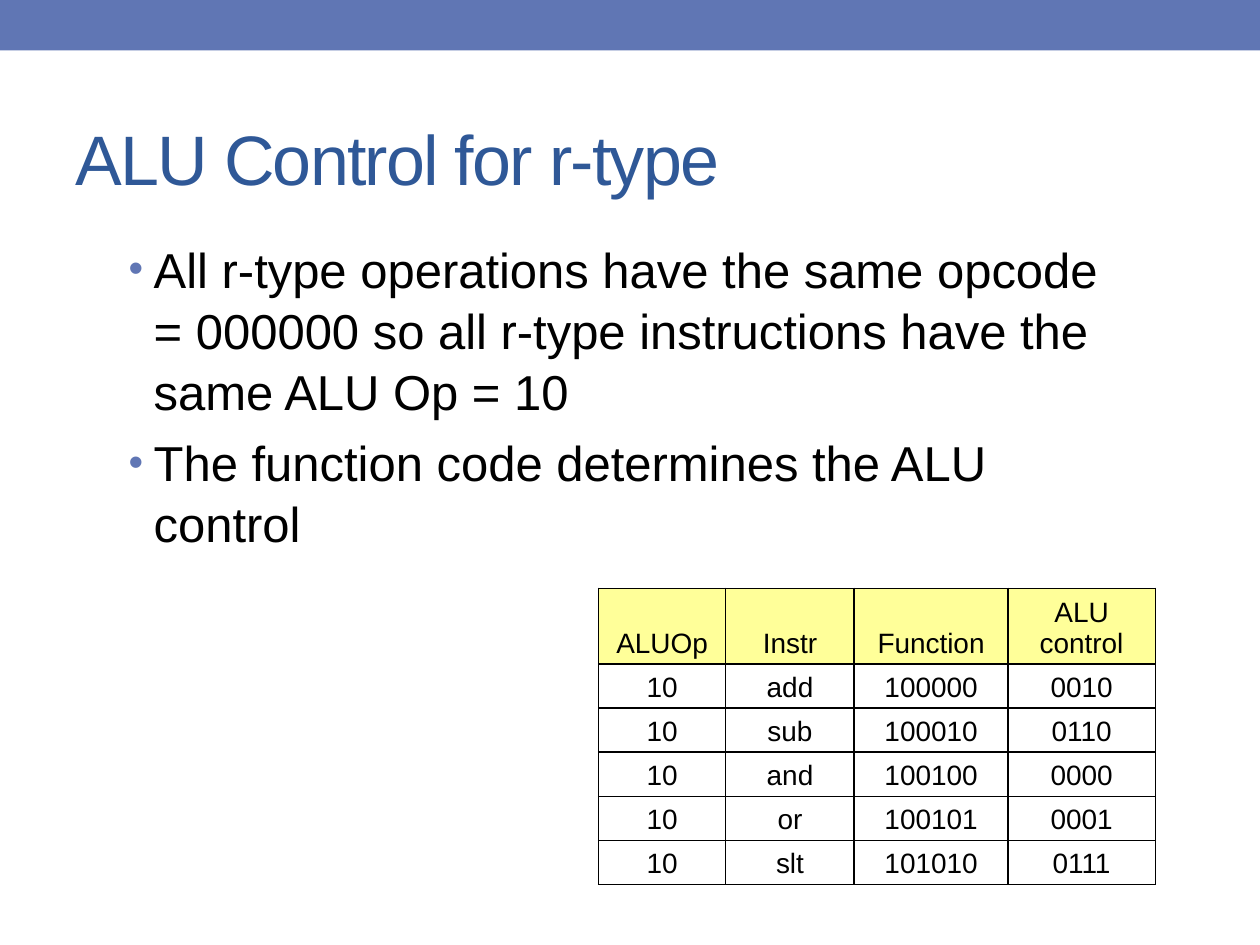
from lxml import etree
from pptx import Presentation
from pptx.dml.color import RGBColor
from pptx.enum.shapes import MSO_SHAPE
from pptx.enum.text import MSO_ANCHOR, MSO_AUTO_SIZE, PP_ALIGN
from pptx.oxml.ns import qn
from pptx.util import Inches, Pt

RECTANGLE = MSO_SHAPE.RECTANGLE
LEFT, CENTER = PP_ALIGN.LEFT, PP_ALIGN.CENTER
TOP, MIDDLE, BOTTOM = MSO_ANCHOR.TOP, MSO_ANCHOR.MIDDLE, MSO_ANCHOR.BOTTOM
NO_AUTOFIT = MSO_AUTO_SIZE.NONE

COLORS = {
    "accent": "6076B4",
    "title": "2F5897",
    "text": "000000",
    "header": "FFFF99",
    "border": "000000",
}
BULLETS = [
    "All r-type operations have the same opcode = 000000 so all r-type "
    "instructions have the same ALU Op = 10",
    "The function code determines the ALU control",
]
HEADINGS = ["ALUOp", "Instr", "Function", "ALU control"]
OPERATIONS = [
    ("add", "100000", "0010"),
    ("sub", "100010", "0110"),
    ("and", "100100", "0000"),
    ("or", "100101", "0001"),
    ("slt", "101010", "0111"),
]


def apply(target, values):
    for name, value in values.items():
        setattr(target, name, value)


def add_element(parent, tag, **attributes):
    return etree.SubElement(parent, qn(tag), attributes)


class SlideBuilder:
    font = "Arial"

    def __init__(self, slide):
        self.slide = slide

    def color(self, name):
        return RGBColor.from_string(COLORS[name])

    def add_text(self, paragraph, text, size, color, align):
        paragraph.alignment = align
        run = paragraph.add_run()
        run.text = text
        apply(run.font, {"name": self.font, "size": Pt(size)})
        run.font.color.rgb = self.color(color)
        return run

    def place(self, placeholder, box, anchor):
        sides = ("left", "top", "width", "height")
        apply(placeholder, dict(zip(sides, map(Inches, box))))
        frame = placeholder.text_frame
        apply(frame, {"word_wrap": True, "auto_size": NO_AUTOFIT, "vertical_anchor": anchor})
        return frame

    def band(self, box, color):
        band = self.slide.shapes.add_shape(RECTANGLE, *map(Inches, box))
        band.shadow.inherit = False
        band.fill.solid()
        band.fill.fore_color.rgb = self.color(color)
        band.line.fill.background()

    def title(self, text, box):
        frame = self.place(self.slide.shapes.title, box, MIDDLE)
        run = self.add_text(frame.paragraphs[0], text, 40, "title", LEFT)
        run.font._element.set("spc", "-100")

    def bullets(self, items, box):
        frame = self.place(self.slide.placeholders[1], box, TOP)
        for index, item in enumerate(items):
            paragraph = frame.add_paragraph() if index else frame.paragraphs[0]
            self.add_text(paragraph, item, 28, "text", LEFT)
            paragraph.line_spacing = 1.04
            properties = paragraph._p.get_or_add_pPr()
            properties.set("marL", str(Inches(0.2)))
            properties.set("indent", str(Inches(-0.2)))
            bullet_color = add_element(properties, "a:buClr")
            add_element(bullet_color, "a:srgbClr", val=COLORS["accent"])
            add_element(properties, "a:buSzPct", val="85000")
            add_element(properties, "a:buFont", typeface=self.font)
            add_element(properties, "a:buChar", char="•")

    def borders(self, cell):
        properties = cell._tc.get_or_add_tcPr()
        for side in ("a:lnL", "a:lnR", "a:lnT", "a:lnB"):
            border = add_element(properties, side, w=str(Pt(1)))
            fill = add_element(border, "a:solidFill")
            add_element(fill, "a:srgbClr", val=COLORS["border"])

    def table(self, rows, left, top, widths, heights):
        box = (left, top, sum(widths), sum(heights))
        table = self.slide.shapes.add_table(len(rows), len(widths), *map(Inches, box)).table
        apply(table, {"first_row": False, "horz_banding": False})
        for column, width in zip(table.columns, widths):
            column.width = Inches(width)
        for row, height, texts in zip(table.rows, heights, rows):
            row.height = Inches(height)
            for cell, text in zip(row.cells, texts):
                apply(cell, {
                    "vertical_anchor": BOTTOM,
                    "margin_top": Inches(0.04),
                    "margin_bottom": Inches(0.04),
                })
                self.borders(cell)
                if texts is rows[0]:
                    cell.fill.solid()
                    cell.fill.fore_color.rgb = self.color("header")
                else:
                    cell.fill.background()
                self.add_text(cell.text_frame.paragraphs[0], text, 16, "text", CENTER)


def main():
    presentation = Presentation()
    apply(presentation, {"slide_width": Inches(10), "slide_height": Inches(7.5)})
    builder = SlideBuilder(presentation.slides.add_slide(presentation.slide_layouts[1]))
    builder.band((0, 0, 10, 0.4), "accent")
    builder.title("ALU Control for r-type", (0.5, 0.5, 9, 1.5))
    builder.bullets(BULLETS, (0.92, 1.83, 8.17, 4.25))
    rows = [HEADINGS] + [("10", *operation) for operation in OPERATIONS]
    heights = [0.6] + [0.35] * len(OPERATIONS)
    builder.table(rows, 4.75, 4.67, [1.01, 1.02, 1.22, 1.17], heights)
    presentation.save("out.pptx")


if __name__ == "__main__":
    main()
